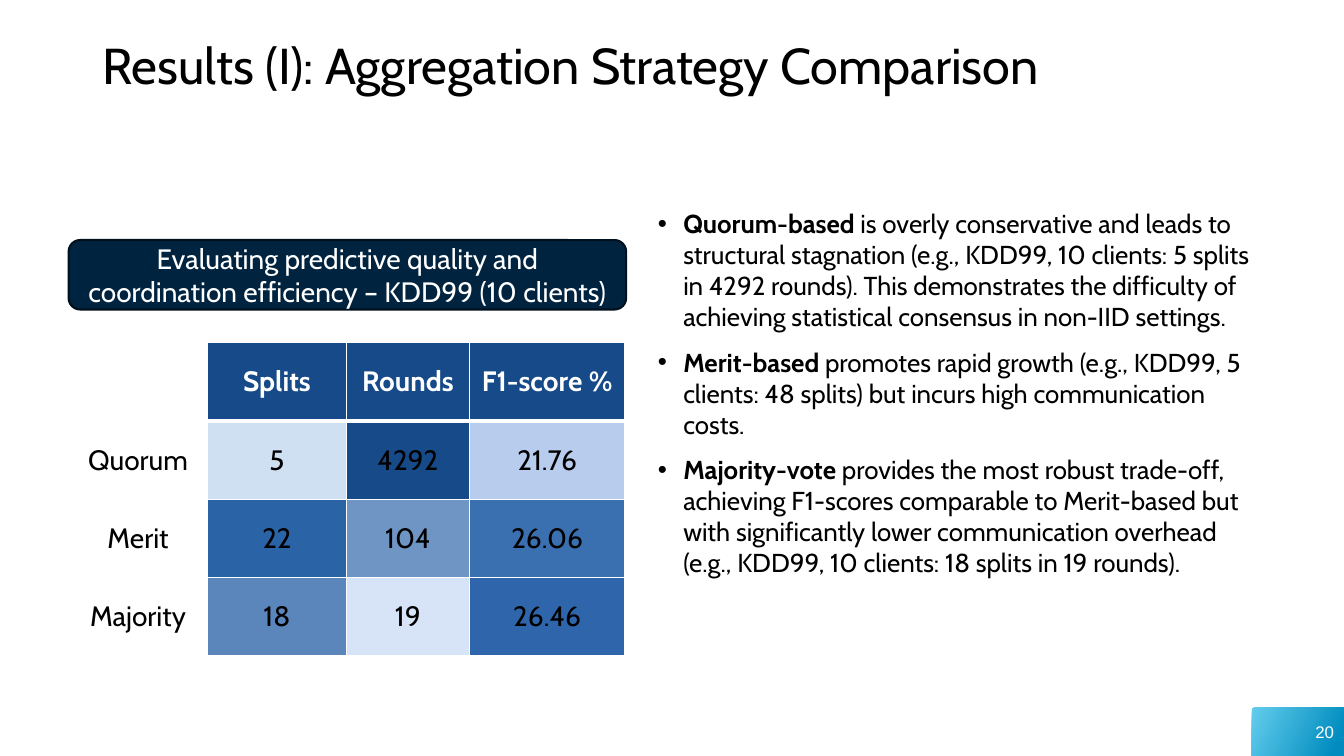
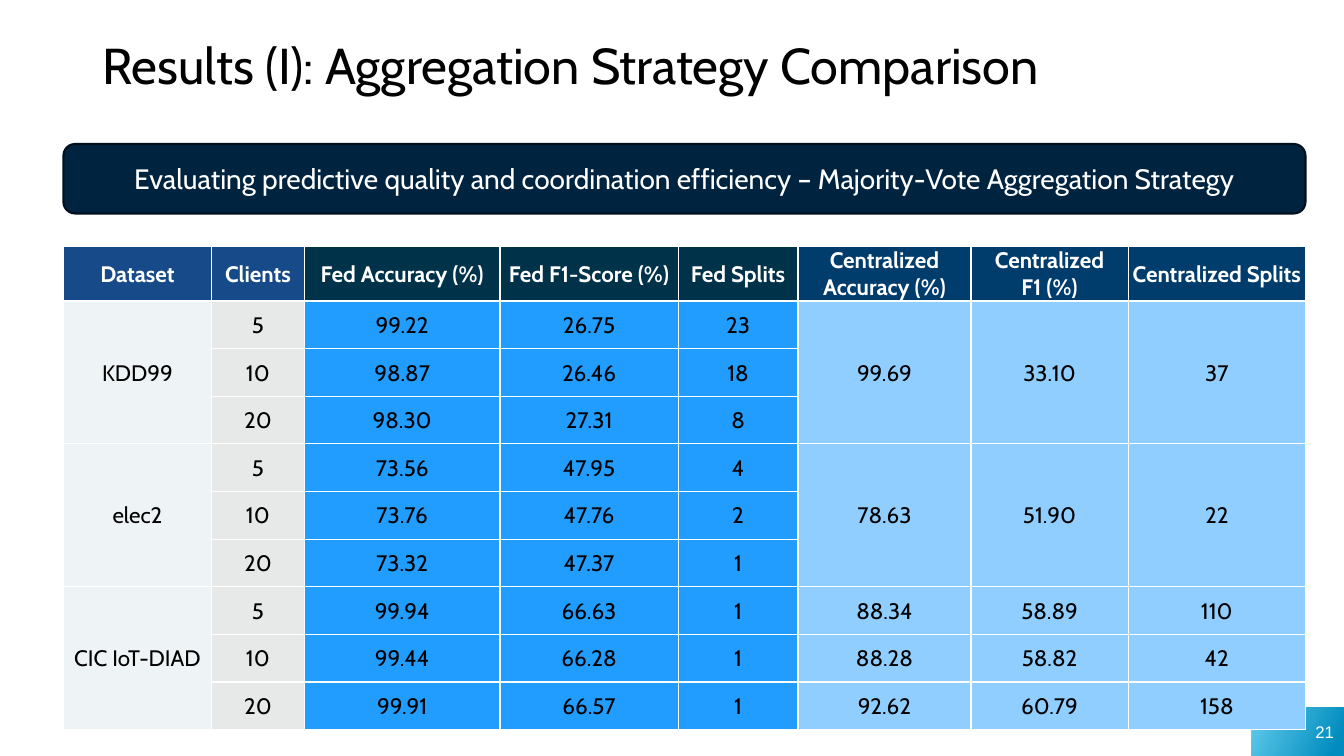
from dataclasses import dataclass

from lxml.etree import SubElement
from pptx import Presentation
from pptx.dml.color import RGBColor
from pptx.enum.shapes import MSO_SHAPE
from pptx.enum.text import MSO_ANCHOR, PP_ALIGN
from pptx.oxml.ns import qn
from pptx.util import Cm, Pt


@dataclass(frozen=True)
class Theme:
    font: str = "Cabin"
    number_font: str = "Arial"
    white: str = "FFFFFF"
    black: str = "000000"
    banner: str = "002440"
    banner_line: str = "00101C"
    badge_light: str = "64CDED"
    badge_dark: str = "008CBF"
    header: str = "174A88"
    federated_header: str = "00324A"
    central_header: str = "003D6D"
    dataset: str = "EEF3F5"
    clients: str = "E7E8E8"
    federated: str = "209DFF"
    central: str = "90CEFF"
    title_size: float = 36
    large_size: float = 20
    body_size: float = 18.5
    table_size: float = 16
    number_size: float = 12


theme = Theme()


def write_text(frame, text, size, color, align, bold=False, font=theme.font):
    frame.text = text
    for para in frame.paragraphs:
        para.alignment = align
        for span in para.runs:
            span.font.name = font
            span.font.size = Pt(size)
            span.font.bold = bold
            span.font.color.rgb = RGBColor.from_string(color)


def draw_table(slide, left, top, widths, heights, rows, fills, size, header_rule, margins=None):
    frame = slide.shapes.add_table(len(rows), len(widths), Cm(left), Cm(top),
                                   Cm(sum(widths)), Cm(sum(heights)))
    table = frame.table
    for column, width in zip(table.columns, widths):
        column.width = Cm(width)
    for row, height in zip(table.rows, heights):
        row.height = Cm(height)
    for r, values in enumerate(rows):
        for c, value in enumerate(values):
            cell = table.cell(r, c)
            write_text(cell.text_frame, value, size, theme.black if r else theme.white,
                       PP_ALIGN.CENTER, bold=r == 0)
            cell.vertical_anchor = MSO_ANCHOR.MIDDLE
            if margins:
                (cell.margin_left, cell.margin_top,
                 cell.margin_right, cell.margin_bottom) = map(Cm, margins)
            # Cell borders come before the fill in the XML
            for side in ("lnL", "lnR", "lnT", "lnB"):
                on_rule = (r, side) in ((0, "lnB"), (1, "lnT"))
                border = SubElement(cell._tc.get_or_add_tcPr(), qn(f"a:{side}"),
                                    w=str(Pt(header_rule if on_rule else 1)))
                paint = SubElement(border, qn("a:solidFill"))
                SubElement(paint, qn("a:srgbClr"), val=theme.white)
            cell.fill.solid()
            cell.fill.fore_color.rgb = RGBColor.from_string(fills[r][c])
    return table


deck = Presentation()
deck.slide_width, deck.slide_height = Cm(33.87), Cm(19.05)

# Page number, title and banner on every slide
pages = [
    (20, "Evaluating predictive quality and coordination efficiency – KDD99 (10 clients)",
     (1.73, 6.05, 14.05, 1.75)),
    (21, "Evaluating predictive quality and coordination efficiency – "
         "Majority-Vote Aggregation Strategy",
     (1.6, 3.63, 31.3, 1.75)),
]
slides = []
for number, message, place in pages:
    slide = deck.slides.add_slide(deck.slide_layouts[6])
    slides.append(slide)

    badge = slide.shapes.add_shape(MSO_SHAPE.RECTANGLE, Cm(31.54), Cm(17.83), Cm(2.33), Cm(1.22))
    badge.shadow.inherit = False
    badge.line.fill.background()
    badge.fill.gradient()
    badge.fill.gradient_angle = 335
    stops = badge.fill.gradient_stops
    for stop, color, position in zip(stops, (theme.badge_light, theme.badge_dark), (0, 0.9)):
        stop.color.rgb = RGBColor.from_string(color)
        stop.position = position
    badge.text_frame.vertical_anchor = MSO_ANCHOR.MIDDLE
    write_text(badge.text_frame, str(number), theme.number_size, theme.white,
               PP_ALIGN.RIGHT, font=theme.number_font)

    title = slide.shapes.add_textbox(Cm(2.33), Cm(0.91), Cm(29.21), Cm(3.68))
    title.text_frame.word_wrap = True
    write_text(title.text_frame, "Results (I): Aggregation Strategy Comparison",
               theme.title_size, theme.black, PP_ALIGN.LEFT)
    title.text_frame.paragraphs[0].line_spacing = 0.9

    banner = slide.shapes.add_shape(MSO_SHAPE.ROUNDED_RECTANGLE, *map(Cm, place))
    banner.shadow.inherit = False
    banner.fill.solid()
    banner.fill.fore_color.rgb = RGBColor.from_string(theme.banner)
    banner.line.color.rgb = RGBColor.from_string(theme.banner_line)
    banner.line.width = Pt(1.5)
    banner.text_frame.word_wrap = True
    banner.text_frame.vertical_anchor = MSO_ANCHOR.MIDDLE
    write_text(banner.text_frame, message, theme.large_size, theme.white, PP_ALIGN.CENTER)

strategy_slide, dataset_slide = slides

# Strategy heat map
strategy_rows = [
    ("", "Splits", "Rounds", "F1-score %"),
    ("Quorum", "5", "4292", "21.76"),
    ("Merit", "22", "104", "26.06"),
    ("Majority", "18", "19", "26.46"),
]
strategy_fills = [
    (theme.white, theme.header, theme.header, theme.header),
    (theme.white, "CFE0F3", "174A88", "B8CDEE"),
    (theme.white, "2B63A7", "6F95C5", "3A6FB0"),
    (theme.white, "5B86BB", "D7E3F6", "2F66AB"),
]
draw_table(strategy_slide, 1.73, 8.64, (3.5, 3.5, 3.1, 3.92), [1.97] * 4,
           strategy_rows, strategy_fills, theme.large_size, header_rule=3)

# Findings
findings = [
    ("Quorum-based", " is overly conservative and leads to structural stagnation (e.g., KDD99, "
     "10 clients: 5 splits in 4292 rounds). This demonstrates the difficulty of achieving "
     "statistical consensus in non-IID settings."),
    ("Merit-based", " promotes rapid growth (e.g., KDD99, 5 clients: 48 splits) but incurs "
     "high communication costs."),
    ("Majority-vote", " provides the most robust trade-off, achieving F1-scores comparable to "
     "Merit-based but with significantly lower communication overhead (e.g., KDD99, 10 clients: "
     "18 splits in 19 rounds)."),
]
box = strategy_slide.shapes.add_textbox(Cm(16.33), Cm(5.11), Cm(15.52), Cm(12.24))
box.text_frame.word_wrap = True
for index, finding in enumerate(findings):
    para = box.text_frame.add_paragraph() if index else box.text_frame.paragraphs[0]
    if index:
        para.space_before = Pt(10)
    properties = para._p.get_or_add_pPr()
    properties.set("marL", str(Cm(0.64)))
    properties.set("indent", str(-Cm(0.64)))
    SubElement(properties, qn("a:buFont"), typeface=theme.number_font)
    SubElement(properties, qn("a:buChar"), char="•")
    for text, bold in zip(finding, (True, False)):
        span = para.add_run()
        span.text = text
        span.font.name = theme.font
        span.font.size = Pt(theme.body_size)
        span.font.bold = bold
        span.font.color.rgb = RGBColor.from_string(theme.black)

# Federated against centralized results
dataset_rows = [
    ("Dataset", "Clients", "Fed Accuracy (%)", "Fed F1-Score (%)", "Fed Splits",
     "Centralized\nAccuracy (%)", "Centralized\nF1 (%)", "Centralized Splits"),
    ("KDD99", "5", "99.22", "26.75", "23", "99.69", "33.10", "37"),
    ("", "10", "98.87", "26.46", "18", "", "", ""),
    ("", "20", "98.30", "27.31", "8", "", "", ""),
    ("elec2", "5", "73.56", "47.95", "4", "78.63", "51.90", "22"),
    ("", "10", "73.76", "47.76", "2", "", "", ""),
    ("", "20", "73.32", "47.37", "1", "", "", ""),
    ("CIC IoT-DIAD", "5", "99.94", "66.63", "1", "88.34", "58.89", "110"),
    ("", "10", "99.44", "66.28", "1", "88.28", "58.82", "42"),
    ("", "20", "99.91", "66.57", "1", "92.62", "60.79", "158"),
]
header_fills = [theme.header] * 2 + [theme.federated_header] * 3 + [theme.central_header] * 3
value_fills = [theme.dataset, theme.clients] + [theme.federated] * 3 + [theme.central] * 3
results = draw_table(dataset_slide, 1.6, 6.2, (3.73, 2.34, 4.93, 4.49, 3.02, 4.36, 3.96, 4.47),
                     [1.37] + [1.2] * 9, dataset_rows, [header_fills] + [value_fills] * 9,
                     theme.table_size, header_rule=1, margins=(0.03, 0.03, 0.03, 0))

# Values shared by the three client counts of a dataset
for first, columns in ((1, (0, 5, 6, 7)), (4, (0, 5, 6, 7)), (7, (0,))):
    for c in columns:
        results.cell(first, c).merge(results.cell(first + 2, c))

deck.save("out.pptx")
